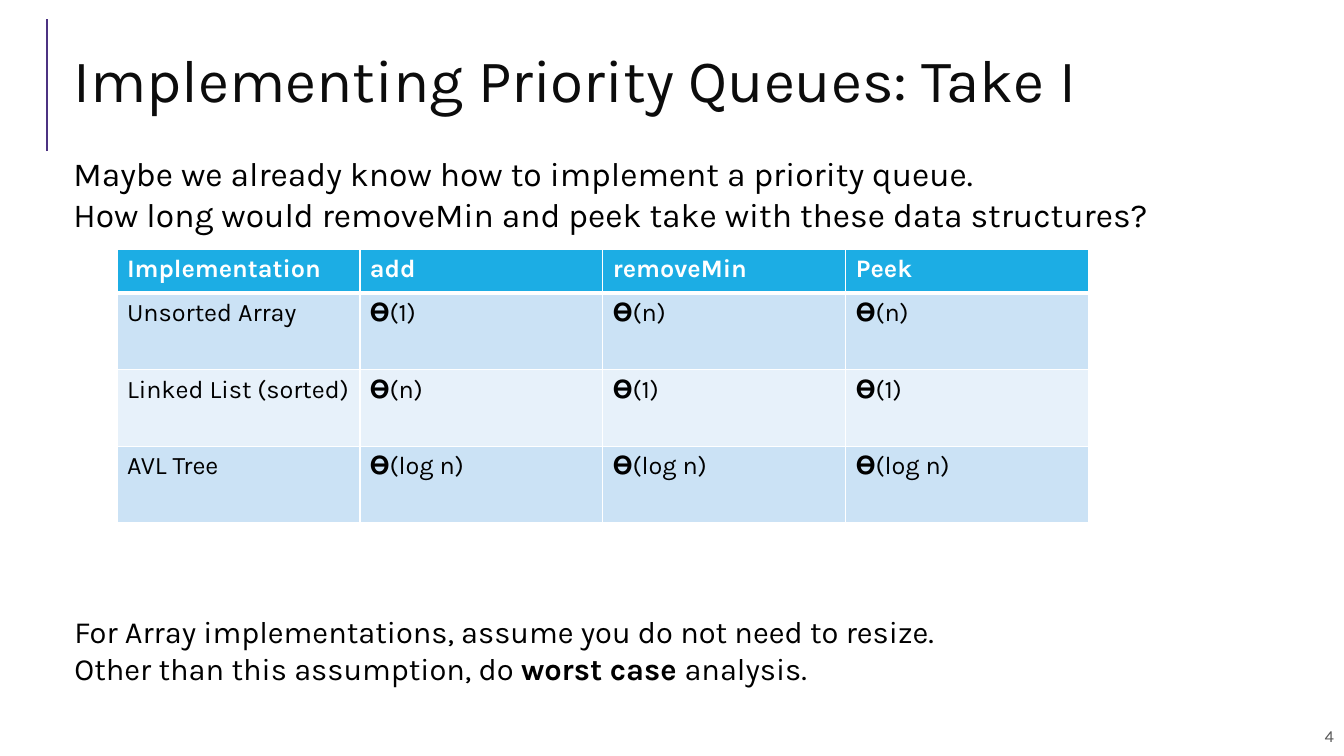
import pptx
import pptx.dml.color
import pptx.enum.shapes
import pptx.enum.text
import pptx.oxml
import pptx.oxml.ns
import pptx.util

TITLE = "Implementing Priority Queues: Take I"
PAGE_NUMBER = "4"
# Each paragraph is a list of (text, bold) runs.
QUESTION = [
    [("Maybe we already know how to implement a priority queue.", False)],
    [("How long would removeMin and peek take with these data structures?", False)],
]
ASSUMPTIONS = [
    [("For Array implementations, assume you do not need to resize.", False)],
    [("Other than this assumption, do ", False), ("worst case ", True), ("analysis.", False)],
]
RUNTIMES = [
    ["Implementation", "add", "removeMin", "Peek"],
    ["Unsorted Array", "𝚹(1)", "𝚹(n)", "𝚹(n)"],
    ["Linked List (sorted)", "𝚹(n)", "𝚹(1)", "𝚹(1)"],
    ["AVL Tree", "𝚹(log n)", "𝚹(log n)", "𝚹(log n)"],
]

FONT = "Karla"
BLACK = pptx.dml.color.RGBColor(0x00, 0x00, 0x00)
TITLE_BLACK = pptx.dml.color.RGBColor(0x0C, 0x0C, 0x0C)
GREY = pptx.dml.color.RGBColor(0x59, 0x59, 0x59)
WHITE = pptx.dml.color.RGBColor(0xFF, 0xFF, 0xFF)
PURPLE = pptx.dml.color.RGBColor(0x4C, 0x32, 0x82)
HEADER_BLUE = pptx.dml.color.RGBColor(0x1C, 0xAD, 0xE4)
DARK_BAND = pptx.dml.color.RGBColor(0xCB, 0xE2, 0xF5)
LIGHT_BAND = pptx.dml.color.RGBColor(0xE7, 0xF1, 0xFA)

MIDDLE = pptx.enum.text.MSO_ANCHOR.MIDDLE
TOP = pptx.enum.text.MSO_ANCHOR.TOP
PX_PER_INCH = 100
COLUMN_WIDTH, HEADER_HEIGHT, ROW_HEIGHT = 241, 44, 76


def px(length):
    return pptx.util.Emu(length * 914400 // PX_PER_INCH)


def add_run(paragraph, text, size, color, bold=False):
    run = paragraph.add_run()
    run.text = text
    run.font.name = FONT
    run.font.size = pptx.util.Pt(size)
    run.font.bold = bold
    run.font.color.rgb = color


def add_text(slide, box, paragraphs, size, color, anchor=TOP, inset=5):
    """Add a text box and return its paragraphs; inset is the top and bottom margin."""
    frame = slide.shapes.add_textbox(*map(px, box)).text_frame
    frame.word_wrap = True
    frame.vertical_anchor = anchor
    frame.margin_left = frame.margin_right = px(10)
    frame.margin_top = frame.margin_bottom = px(inset)
    for index, runs in enumerate(paragraphs):
        paragraph = frame.add_paragraph() if index else frame.paragraphs[0]
        for text, bold in runs:
            add_run(paragraph, text, size, color, bold)
    return frame.paragraphs


def add_border(cell, side, points):
    cell._tc.get_or_add_tcPr().append(pptx.oxml.parse_xml(
        f'<a:ln{side} {pptx.oxml.ns.nsdecls("a")} w="{pptx.util.Pt(points)}">'
        f'<a:solidFill><a:srgbClr val="{WHITE}"/></a:solidFill></a:ln{side}>'))


def add_runtime_table(slide):
    rows, columns = len(RUNTIMES), len(RUNTIMES[0])
    height = HEADER_HEIGHT + (rows - 1) * ROW_HEIGHT
    table = slide.shapes.add_table(
        rows, columns, px(116), px(247), px(columns * COLUMN_WIDTH), px(height)).table
    for column in table.columns:
        column.width = px(COLUMN_WIDTH)
    for row_index, texts in enumerate(RUNTIMES):
        header = row_index == 0
        table.rows[row_index].height = px(HEADER_HEIGHT if header else ROW_HEIGHT)
        band = HEADER_BLUE if header else DARK_BAND if row_index % 2 else LIGHT_BAND
        for column_index, text in enumerate(texts):
            cell = table.cell(row_index, column_index)
            cell.margin_left = cell.margin_right = px(10)
            cell.margin_top = cell.margin_bottom = px(5)
            for side in "LRTB":
                thick = (header and side == "B") or (row_index == 1 and side == "T")
                add_border(cell, side, 3 if thick else 1)
            cell.fill.solid()
            cell.fill.fore_color.rgb = band
            add_run(cell.text_frame.paragraphs[0], text, 18,
                    WHITE if header else BLACK, header)


def add_title_rule(slide):
    rule = slide.shapes.add_connector(
        pptx.enum.shapes.MSO_CONNECTOR.STRAIGHT, px(47), px(150), px(47), px(19))
    rule.line.color.rgb = PURPLE
    rule.line.width = pptx.util.Pt(1.5)
    rule._element.spPr.append(
        pptx.oxml.parse_xml(f'<a:effectLst {pptx.oxml.ns.nsdecls("a")}/>'))


def main():
    presentation = pptx.Presentation()
    presentation.slide_width, presentation.slide_height = px(1333), px(750)
    slide = presentation.slides.add_slide(presentation.slide_layouts[6])

    add_title_rule(slide)
    number = add_text(slide, (865, 710, 468, 40), [[(PAGE_NUMBER, False)]],
                      12, GREY, MIDDLE, inset=10)
    number[0].alignment = pptx.enum.text.PP_ALIGN.RIGHT
    title = add_text(slide, (63, 29, 1223, 111), [[(TITLE, False)]],
                     43, TITLE_BLACK, MIDDLE)
    title[0].line_spacing = 0.8
    add_runtime_table(slide)
    add_text(slide, (63, 147, 1193, 91), QUESTION, 24, BLACK)
    add_text(slide, (64, 603, 1191, 84), ASSUMPTIONS, 22, BLACK)
    presentation.save("out.pptx")


if __name__ == "__main__":
    main()
